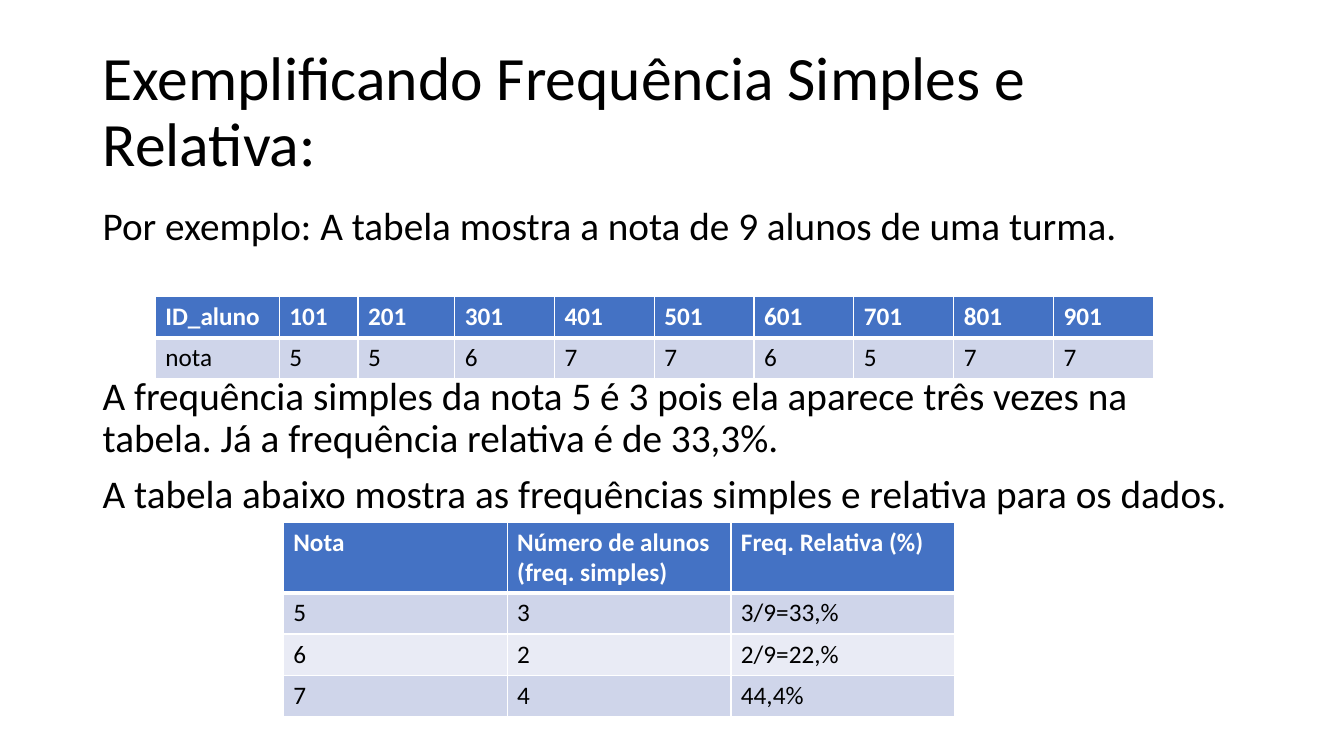
from lxml.etree import fromstring
from pptx import Presentation
from pptx.dml.color import RGBColor
from pptx.enum.text import MSO_ANCHOR
from pptx.oxml.ns import nsdecls
from pptx.util import Inches, Pt

COLORS = {"ink": "000000", "white": "FFFFFF", "head": "4472C4",
          "odd": "CFD5EA", "even": "E9EBF5"}

deck = Presentation()
deck.slide_width, deck.slide_height = Inches(13.33), Inches(7.5)
slide = deck.slides.add_slide(deck.slide_layouts[6])
shapes = slide.shapes


def write(frame, text, size=18, color="ink", bold=False, before=0, line=1, add=False):
    """Write one paragraph into a text frame."""
    frame.word_wrap = True
    para = frame.add_paragraph() if add else frame.paragraphs[0]
    para.space_before, para.line_spacing = Pt(before), line
    run = para.add_run()
    run.text = text
    font = run.font
    font.name, font.size, font.bold = "Calibri", Pt(size), bold
    font.color.rgb = RGBColor.from_string(COLORS[color])


def grid(data, left, top, widths, heights):
    """Add a table with a coloured head, banded rows and white borders."""
    table = shapes.add_table(len(heights), len(widths), Inches(left), Inches(top),
                             Inches(sum(widths)), Inches(sum(heights))).table
    for col, width in zip(table.columns, widths):
        col.width = Inches(width)
    for r, (row, height) in enumerate(zip(data, heights)):
        table.rows[r].height = Inches(height)
        fill = "head" if r == 0 else ("odd" if r % 2 else "even")
        for c, text in enumerate(row):
            cell = table.cell(r, c)
            write(cell.text_frame, text, color="ink" if r else "white", bold=r == 0)
            cell.fill.solid()
            cell.fill.fore_color.rgb = RGBColor.from_string(COLORS[fill])
            # The line under the head is thicker
            thick = {0: "B", 1: "T"}.get(r)
            for i, side in enumerate("LRTB"):
                width = Pt(3 if side == thick else 1)
                edge = fromstring(
                    f'<a:ln{side} {nsdecls("a")} w="{width}"><a:solidFill>'
                    f'<a:srgbClr val="{COLORS["white"]}"/></a:solidFill></a:ln{side}>')
                cell._tc.get_or_add_tcPr().insert(i, edge)


# Title
title = shapes.add_textbox(Inches(0.92), Inches(0.4), Inches(11.5), Inches(1.45)).text_frame
title.vertical_anchor = MSO_ANCHOR.MIDDLE
write(title, "Exemplificando Frequência Simples e Relativa:", size=44, line=0.9)

# Body text, with room for the table of students after the first paragraph
body = shapes.add_textbox(Inches(0.92), Inches(2), Inches(11.5), Inches(5.34)).text_frame
lines = [
    ("Por exemplo: A tabela mostra a nota de 9 alunos de uma turma.", 0),
    ("A frequência simples da nota 5 é 3 pois ela aparece três vezes na tabela. "
     "Já a frequência relativa é de 33,3%.", 91),
    ("A tabela abaixo mostra as frequências simples e relativa para os dados.", 10),
]
for n, (text, gap) in enumerate(lines):
    write(body, text, size=28, before=gap, line=0.9, add=n > 0)

# Table of frequencies
freqs = [
    ["Nota", "Número de alunos (freq. simples)", "Freq. Relativa (%)"],
    ["5", "3", "3/9=33,%"],
    ["6", "2", "2/9=22,%"],
    ["7", "4", "44,4%"],
]
grid(freqs, 2.81, 5.18, [2.22] * 3, [0.7] + [0.41] * 3)

# Table of students
marks = [
    ["ID_aluno"] + [str(n) for n in range(101, 902, 100)],
    ["nota"] + list("556776577"),
]
grid(marks, 1.54, 2.94, [1.23, 0.78, 0.96] + [0.99] * 7, [0.41] * 2)

deck.save("out.pptx")
